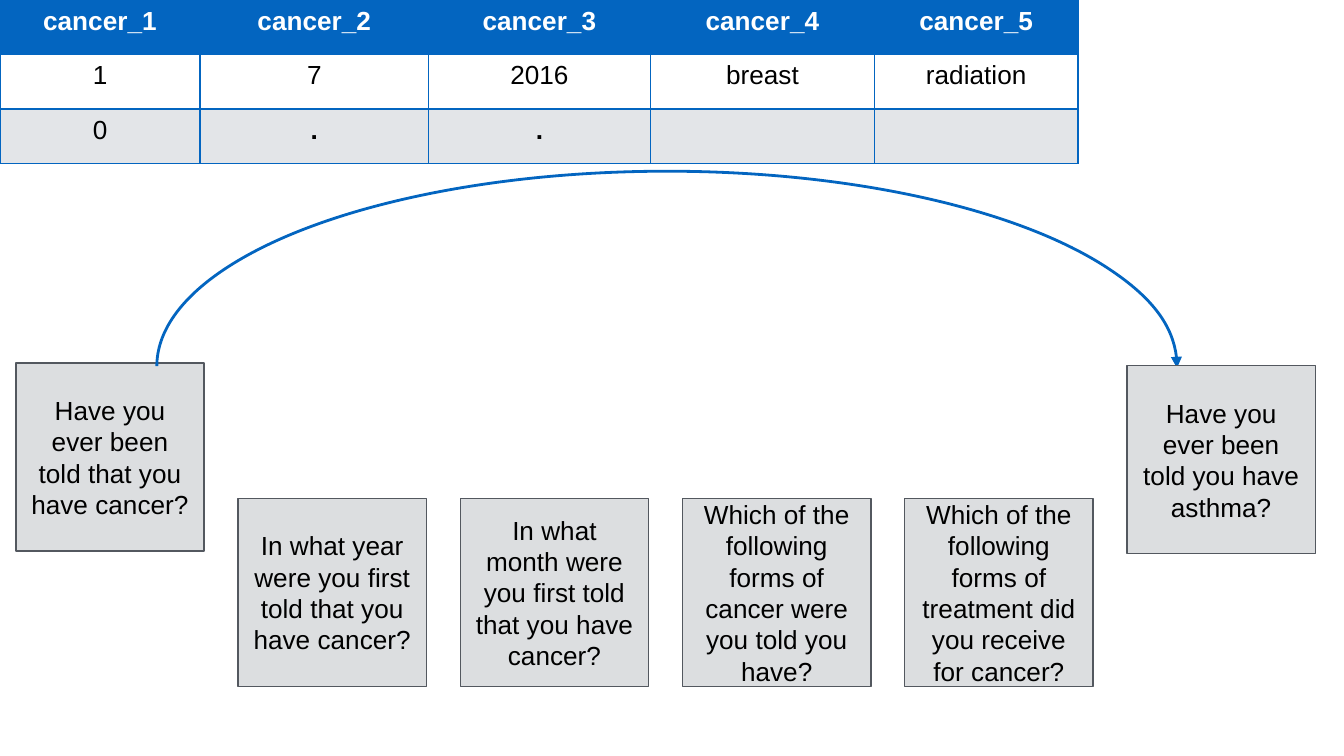
import pptx
import pptx.dml.color
import pptx.enum.shapes
import pptx.enum.text
import pptx.oxml
import pptx.oxml.ns
import pptx.util
from pptx.util import Cm

RGBColor = pptx.dml.color.RGBColor
SHAPE = pptx.enum.shapes.MSO_SHAPE

BLUE = RGBColor(0x03, 0x65, 0xC0)
WHITE = RGBColor(0xFF, 0xFF, 0xFF)
BLACK = RGBColor(0x00, 0x00, 0x00)
ROW_GREY = RGBColor(0xE3, 0xE5, 0xE8)
BOX_GREY = RGBColor(0xDC, 0xDE, 0xE0)
BOX_EDGE = RGBColor(0x53, 0x58, 0x5F)

COLUMN_WIDTHS = [3.78, 4.32, 4.19, 4.24, 3.84]
ROW_HEIGHT = 1.03
ROWS = [
    ["cancer_1", "cancer_2", "cancer_3", "cancer_4", "cancer_5"],
    ["1", "7", "2016", "breast", "radiation"],
    ["0", ".", ".", "", ""],
]
ROW_FILLS = [BLUE, WHITE, ROW_GREY]

BOX_LEFT, BOX_PITCH, BOX_SIZE = 0.3, 4.2, 3.56
QUESTIONS = [
    ("Have you ever been told that you have cancer?", 6.86),
    ("In what year were you first told that you have cancer?", 9.42),
    ("In what month were you first told that you have cancer?", 9.42),
    ("Which of the following forms of cancer were you told you have?", 9.42),
    ("Which of the following forms of treatment did you receive for cancer?", 9.42),
    ("Have you ever been told you have asthma?", 6.91),
]


def write_text(frame, text, size=14, font="Arial", color=BLACK, bold=False):
    """Write one centred, formatted paragraph into a text frame."""
    para = frame.paragraphs[0]
    para.alignment = pptx.enum.text.PP_ALIGN.CENTER
    if text:
        span = para.add_run()
        span.text = text
        span.font.size = pptx.util.Pt(size)
        span.font.name = font
        span.font.bold = bold
        span.font.color.rgb = color


class SurveySlide:
    """Hold the style and the current slide of the survey flow."""

    def __init__(self, deck):
        """Add a blank slide and a group for the flow."""
        self.page = deck.slides.add_slide(deck.slide_layouts[6])
        self.flow = None

    def table(self, rows, fills, widths, row_height):
        """Add the answer table at the top left corner."""
        frame = self.page.shapes.add_table(
            len(rows), len(widths), 0, 0, Cm(sum(widths)), Cm(row_height * len(rows)))
        grid = frame.table
        for column, width in zip(grid.columns, widths):
            column.width = Cm(width)
        for row_index, (texts, fill) in enumerate(zip(rows, fills)):
            grid.rows[row_index].height = Cm(row_height)
            for column_index, text in enumerate(texts):
                cell = grid.cell(row_index, column_index)
                self.borders(cell)
                cell.fill.solid()
                cell.fill.fore_color.rgb = fill
                header = row_index == 0
                write_text(cell.text_frame, text, color=WHITE if header else BLACK,
                           bold=header or text == ".")

    def borders(self, cell, color=BLUE, width=1):
        """Draw a line on all four sides of a cell."""
        properties = cell._tc.get_or_add_tcPr()
        for side in ("lnL", "lnR", "lnT", "lnB"):
            properties.append(pptx.oxml.parse_xml(
                f'<a:{side} {pptx.oxml.ns.nsdecls("a")} w="{pptx.util.Pt(width)}">'
                f'<a:solidFill><a:srgbClr val="{color}"/></a:solidFill></a:{side}>'))

    def shape(self, kind, left, top, width, height, color, weight):
        """Add an outlined shape to the flow group."""
        if self.flow is None:
            self.flow = self.page.shapes.add_group_shape()
        shape = self.flow.shapes.add_shape(kind, Cm(left), Cm(top), Cm(width), Cm(height))
        shape.shadow.inherit = False
        shape.line.color.rgb = color
        shape.line.width = pptx.util.Pt(weight)
        return shape

    def question(self, text, left, top):
        """Add a square question box."""
        box = self.shape(SHAPE.RECTANGLE, left, top, BOX_SIZE, BOX_SIZE, BOX_EDGE, 0.75)
        box.fill.solid()
        box.fill.fore_color.rgb = BOX_GREY
        frame = box.text_frame
        frame.word_wrap = True
        frame.vertical_anchor = pptx.enum.text.MSO_ANCHOR.MIDDLE
        frame.margin_left = frame.margin_right = Cm(0.25)
        frame.margin_top = frame.margin_bottom = Cm(0.25)
        write_text(frame, text)

    def skip_arrow(self, left, top, width, height):
        """Add the curved arrow that skips the follow-up questions."""
        arc = self.shape(SHAPE.ARC, left, top, width, height, BLUE, 1.5)
        arc.fill.background()
        arc.rotation = 270
        arc.adjustments[0] = 162
        arc.adjustments[1] = 54.12
        arc.line._get_or_add_ln().append(pptx.oxml.parse_xml(
            f'<a:tailEnd {pptx.oxml.ns.nsdecls("a")} type="triangle"/>'))


def main():
    """Build and save the deck."""
    deck = pptx.Presentation()
    deck.slide_width, deck.slide_height = Cm(25.4), Cm(14.29)
    slide = SurveySlide(deck)
    slide.table(ROWS, ROW_FILLS, COLUMN_WIDTHS, ROW_HEIGHT)
    for index, (text, top) in enumerate(QUESTIONS):
        slide.question(text, BOX_LEFT + index * BOX_PITCH, top)
        if index == 0:
            slide.skip_arrow(8.92, -2.72, 7.37, 19.28)
    deck.save("out.pptx")


if __name__ == "__main__":
    main()
